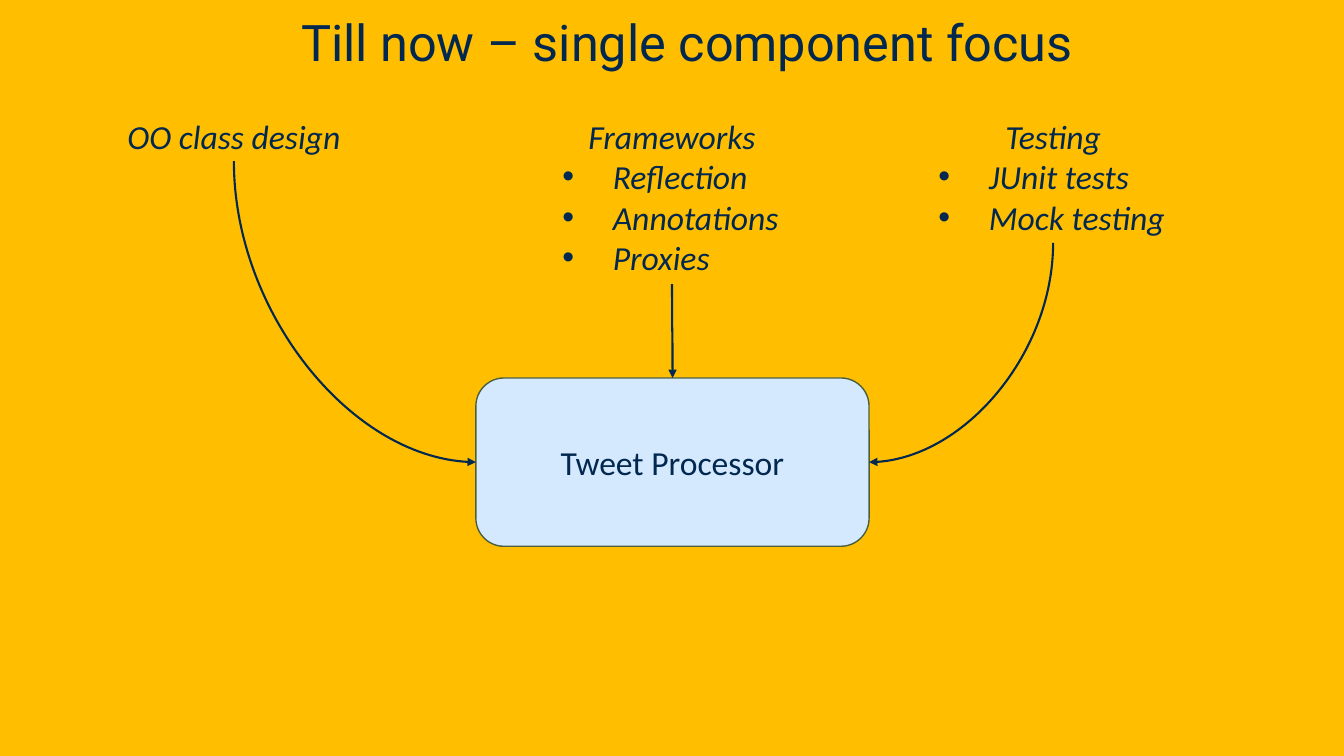
from dataclasses import dataclass

from lxml import etree
from pptx import Presentation
from pptx.dml.color import RGBColor
from pptx.enum.shapes import MSO_CONNECTOR, MSO_SHAPE
from pptx.enum.text import MSO_ANCHOR, MSO_AUTO_SIZE, PP_ALIGN
from pptx.oxml.ns import qn
from pptx.util import Pt

EMU_PER_PX = 9144  # 100 px to the inch
SLIDE_WIDTH, SLIDE_HEIGHT = 1333, 750
TITLE_ONLY_LAYOUT = 5
BULLET_INDENT = 50

CURVE = MSO_CONNECTOR.CURVE
ROUNDED = MSO_SHAPE.ROUNDED_RECTANGLE
CENTER, LEFT = PP_ALIGN.CENTER, PP_ALIGN.LEFT
MIDDLE, BOTTOM = MSO_ANCHOR.MIDDLE, MSO_ANCHOR.BOTTOM
NO_FIT, GROW = MSO_AUTO_SIZE.NONE, MSO_AUTO_SIZE.SHAPE_TO_FIT_TEXT
SITE_TOP, SITE_LEFT, SITE_BOTTOM, SITE_RIGHT = range(4)

COLORS = {
    "background": "FFBE00",
    "ink": "022850",
    "box": "D5E9FE",
    "box_line": "4B6040",
}
TITLE_FONT = {"name": "Roboto", "size": Pt(36), "bold": False}
BODY_FONT = {"name": "Calibri", "size": Pt(24)}
TOPIC_FONT = {**BODY_FONT, "italic": True}


@dataclass(frozen=True)
class Frame:
    left: int
    top: int
    width: int
    height: int


@dataclass(frozen=True)
class Topic:
    heading: str
    bullets: tuple[str, ...]
    frame: Frame
    target_site: int


TITLE_FRAME = Frame(0, 0, SLIDE_WIDTH, 76)
PROCESSOR_FRAME = Frame(472, 375, 390, 167)
TOPICS = [
    Topic("OO class design", (), Frame(115, 110, 234, 50), SITE_LEFT),
    Topic("Frameworks", ("Reflection", "Annotations", "Proxies"),
          Frame(548, 110, 237, 172), SITE_TOP),
    Topic("Testing", ("JUnit tests", "Mock testing"),
          Frame(921, 110, 247, 131), SITE_RIGHT),
]


def px(length: int) -> int:
    return length * EMU_PER_PX


def color(name: str) -> RGBColor:
    return RGBColor.from_string(COLORS[name])


def scaled(frame: Frame) -> tuple[int, int, int, int]:
    return px(frame.left), px(frame.top), px(frame.width), px(frame.height)


def set_all(target, values: dict) -> None:
    for name, value in values.items():
        setattr(target, name, value)


def write(paragraph, text: str, font: dict, alignment) -> None:
    paragraph.alignment = alignment
    run = paragraph.add_run()
    run.text = text
    set_all(run.font, font)
    run.font.color.rgb = color("ink")


def set_indent(paragraph, margin: int, first_line: int = 0):
    properties = paragraph._p.get_or_add_pPr()
    properties.set("marL", str(px(margin)))
    properties.set("indent", str(px(first_line)))
    return properties


def add_title(slide, text: str) -> None:
    title = slide.shapes.title
    left, top, width, height = scaled(TITLE_FRAME)
    set_all(title, {"left": left, "top": top, "width": width, "height": height})
    set_all(title.text_frame, {"vertical_anchor": BOTTOM, "auto_size": NO_FIT,
                               "word_wrap": True})
    paragraph = title.text_frame.paragraphs[0]
    write(paragraph, text, TITLE_FONT, CENTER)
    paragraph.space_before = Pt(25)
    set_indent(paragraph, 30)


def add_processor(slide, text: str):
    box = slide.shapes.add_shape(ROUNDED, *scaled(PROCESSOR_FRAME))
    box.shadow.inherit = False
    box.fill.solid()
    box.fill.fore_color.rgb = color("box")
    box.line.color.rgb = color("box_line")
    box.line.width = Pt(1)
    box.text_frame.vertical_anchor = MIDDLE
    write(box.text_frame.paragraphs[0], text, BODY_FONT, CENTER)
    return box


def add_topic(slide, topic: Topic):
    label = slide.shapes.add_textbox(*scaled(topic.frame))
    text_frame = label.text_frame
    set_all(text_frame, {"word_wrap": False, "auto_size": GROW})
    write(text_frame.paragraphs[0], topic.heading, TOPIC_FONT, CENTER)
    for bullet in topic.bullets:
        paragraph = text_frame.add_paragraph()
        write(paragraph, bullet, TOPIC_FONT, LEFT)
        properties = set_indent(paragraph, BULLET_INDENT, -BULLET_INDENT)
        etree.SubElement(properties, qn("a:buFont")).set("typeface", "Arial")
        etree.SubElement(properties, qn("a:buChar")).set("char", "•")
    return label


def add_curved_arrow(slide, label, box, site: int) -> None:
    """Leave the label downwards and arrive at one side of the box."""
    begin_x, begin_y = label.left + label.width // 2, label.top + label.height
    end_x, end_y = {
        SITE_TOP: (box.left + box.width // 2, box.top),
        SITE_LEFT: (box.left, box.top + box.height // 2),
        SITE_RIGHT: (box.left + box.width, box.top + box.height // 2),
    }[site]
    connector = slide.shapes.add_connector(CURVE, begin_x, begin_y, end_x, end_y)
    connector.begin_connect(label, SITE_BOTTOM)
    connector.end_connect(box, site)
    connector.line.color.rgb = color("ink")
    connector.line.width = Pt(1.5)
    properties = connector._element.spPr
    line = properties.find(qn("a:ln"))
    etree.SubElement(line, qn("a:tailEnd")).set("type", "triangle")
    etree.SubElement(properties, qn("a:effectLst"))

    # A quarter turn makes the curve start vertically
    width, height = end_y - begin_y, abs(end_x - begin_x)
    set_all(connector, {
        "left": (begin_x + end_x - width) // 2,
        "top": (begin_y + end_y - height) // 2,
        "width": width,
        "height": height,
    })
    goes_right = end_x > begin_x
    transform = properties.find(qn("a:xfrm"))
    transform.set("rot", str((270 if goes_right else 90) * 60000))
    transform.set("flipH", "1" if goes_right else "0")
    transform.set("flipV", "0")
    if site != SITE_TOP:
        properties.find(qn("a:prstGeom")).set("prst", "curvedConnector2")


def main() -> None:
    presentation = Presentation()
    presentation.slide_width = px(SLIDE_WIDTH)
    presentation.slide_height = px(SLIDE_HEIGHT)
    slide = presentation.slides.add_slide(
        presentation.slide_layouts[TITLE_ONLY_LAYOUT])
    slide.background.fill.solid()
    slide.background.fill.fore_color.rgb = color("background")

    # Title and central component
    add_title(slide, "Till now – single component focus")
    processor = add_processor(slide, "Tweet Processor")

    # Topics, then their arrows to the component
    labels = [add_topic(slide, topic) for topic in TOPICS]
    for topic, label in zip(TOPICS, labels):
        add_curved_arrow(slide, label, processor, topic.target_site)

    presentation.save("out.pptx")


if __name__ == "__main__":
    main()
